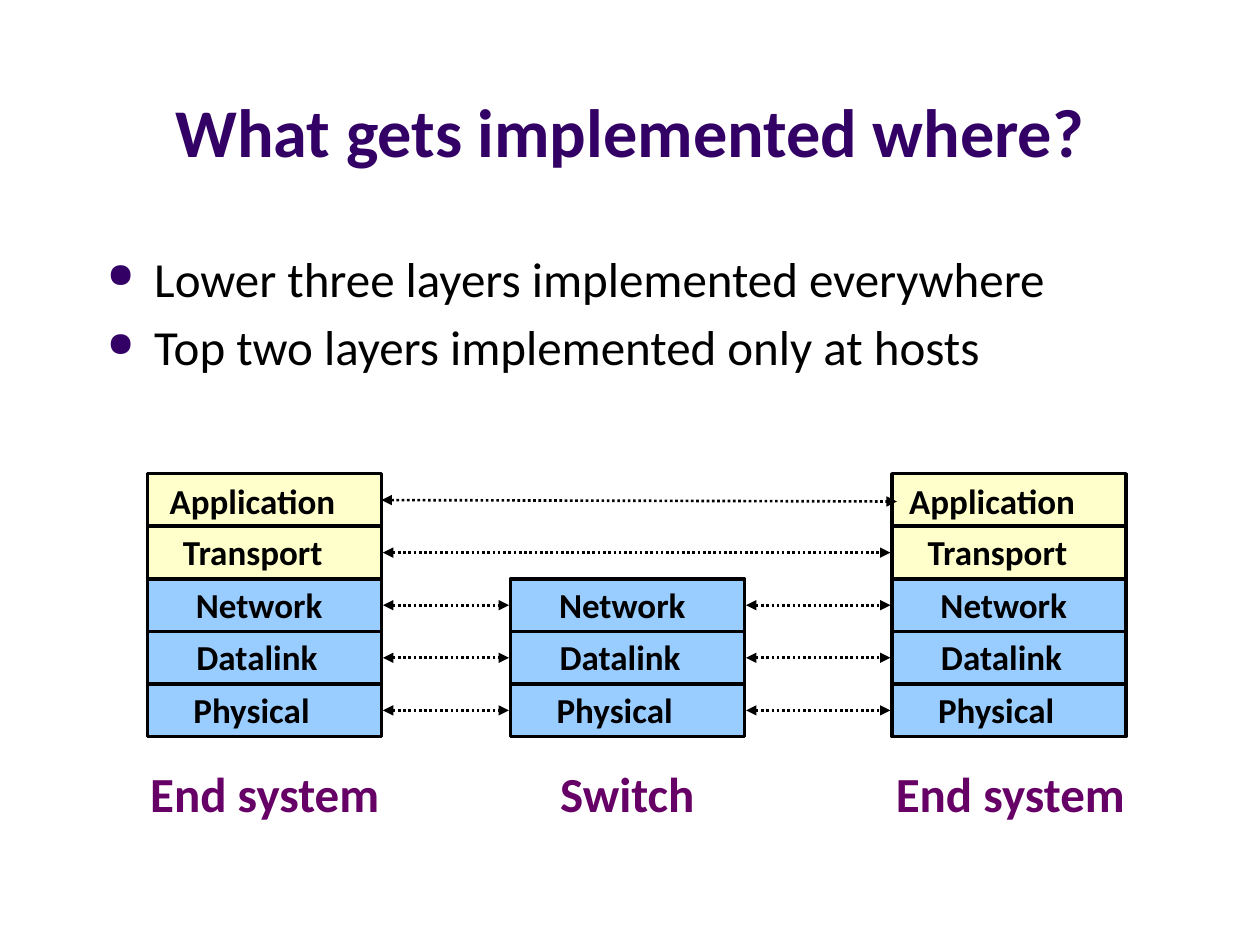
"""Build a slide showing which network layers end systems and switches implement."""
import pptx
import pptx.dml.color
import pptx.enum.dml
import pptx.enum.shapes
import pptx.enum.text
import pptx.oxml
import pptx.oxml.ns
import pptx.util

Cm, Pt = pptx.util.Cm, pptx.util.Pt
ALIGN = pptx.enum.text.PP_ALIGN
ANCHOR = pptx.enum.text.MSO_ANCHOR

TITLE = "What gets implemented where?"
POINTS = ["Lower three layers implemented everywhere",
          "Top two layers implemented only at hosts"]
UPPER, LOWER = "FFFFCC", "99CCFF"
LAYERS = [("Application", UPPER, 3.94, 0.2),
          ("Transport", UPPER, 3.4, 0.47),
          ("Network", LOWER, 3.1, 0.73),
          ("Datalink", LOWER, 3.0, 0.74),
          ("Physical", LOWER, 2.9, 0.68)]
SYSTEMS = [("End system", 2.97, 0, 2.72, 5.23),
           ("Switch", 10.29, 2, 11.02, 3.25),
           ("End system", 17.98, 0, 17.75, 5.23)]
STACK_TOP, ROW, STACK_WIDTH, GAP = 9.55, 1.06, 4.72, 0.03

TITLE_FONT = {"size": Pt(39), "bold": True, "color": "330066"}
POINT_FONT = {"size": Pt(28), "bold": False, "color": "000000"}
LAYER_FONT = {"size": Pt(20), "bold": True, "color": "000000"}
SYSTEM_FONT = {"size": Pt(28), "bold": True, "color": "660066"}


def rgb(hex_color):
    return pptx.dml.color.RGBColor.from_string(hex_color)


def add_xml(parent, tag, **attributes):
    child = pptx.oxml.parse_xml(f"<a:{tag} {pptx.oxml.ns.nsdecls('a')}/>")
    for name, value in attributes.items():
        child.set(name, value)
    parent.append(child)
    return child


def add_text(slide, lines, place, font, align=ALIGN.LEFT, wrap=False, anchor=ANCHOR.TOP):
    frame = slide.shapes.add_textbox(*map(Cm, place)).text_frame
    frame.word_wrap = wrap
    frame.vertical_anchor = anchor
    frame.text = "\n".join(lines)
    for paragraph in frame.paragraphs:
        paragraph.alignment = align
        run_font = paragraph.runs[0].font
        for name, value in {"name": "Calibri", **font}.items():
            if name == "color":
                run_font.color.rgb = rgb(value)
            else:
                setattr(run_font, name, value)
    return frame


def add_bullets(frame):
    for paragraph in frame.paragraphs:
        paragraph.space_before = Pt(5.6)
        properties = paragraph._p.get_or_add_pPr()
        properties.set("marL", str(Cm(0.95)))
        properties.set("indent", str(-Cm(0.95)))
        add_xml(add_xml(properties, "buClr"), "srgbClr", val="330066")
        add_xml(properties, "buSzPct", val="70000")
        add_xml(properties, "buChar", char="●")


def add_layer(slide, left, top, fill):
    layer = slide.shapes.add_shape(pptx.enum.shapes.MSO_SHAPE.RECTANGLE,
                                   Cm(left), Cm(top), Cm(STACK_WIDTH), Cm(ROW))
    layer.shadow.inherit = False
    layer.fill.solid()
    layer.fill.fore_color.rgb = rgb(fill)
    layer.line.color.rgb = rgb("000000")
    layer.line.width = Pt(2)


def add_arrow(slide, start, end, y, drop=0):
    arrow = slide.shapes.add_connector(pptx.enum.shapes.MSO_CONNECTOR.STRAIGHT,
                                       Cm(start), Cm(y), Cm(end), Cm(y + drop))
    arrow.line.color.rgb = rgb("000000")
    arrow.line.width = Pt(1.5)
    arrow.line.dash_style = pptx.enum.dml.MSO_LINE.ROUND_DOT
    for tip in ("headEnd", "tailEnd"):
        add_xml(arrow.line._get_or_add_ln(), tip, type="triangle")
    add_xml(arrow._element.spPr, "effectLst")


def main():
    deck = pptx.Presentation()
    deck.slide_width, deck.slide_height = Cm(25.4), Cm(19.05)
    slide = deck.slides.add_slide(deck.slide_layouts[6])
    add_text(slide, [TITLE], (1.27, 0.33, 22.86, 3.25), TITLE_FONT,
             ALIGN.CENTER, True, ANCHOR.BOTTOM)
    add_bullets(add_text(slide, POINTS, (1.91, 4.88, 21.59, 4.01), POINT_FONT, wrap=True))

    for system, left, first, name_left, name_width in SYSTEMS:
        for row, (layer, fill, width, indent) in enumerate(LAYERS):
            if row < first:
                continue
            top = STACK_TOP + row * ROW
            add_layer(slide, left, top, fill)
            if row == 0 and left == SYSTEMS[-1][1]:
                indent = 0.1
            lift = 0.04 if row else 0
            add_text(slide, [layer], (left + indent, top - lift, width, 1.12), LAYER_FONT)
        add_text(slide, [system], (name_left, 15.27, name_width, 1.45),
                 SYSTEM_FONT, ALIGN.CENTER)

    for row in range(len(LAYERS)):
        y = STACK_TOP + (row + 0.5) * ROW
        lefts = [left for _, left, first, *_ in SYSTEMS if row >= first]
        for near, far in zip(lefts, lefts[1:]):
            start = near + STACK_WIDTH
            if row == 0:
                add_arrow(slide, start, far + 0.1, y, 0.03)
            else:
                add_arrow(slide, start + GAP, far - GAP, y)
    deck.save("out.pptx")


if __name__ == "__main__":
    main()
